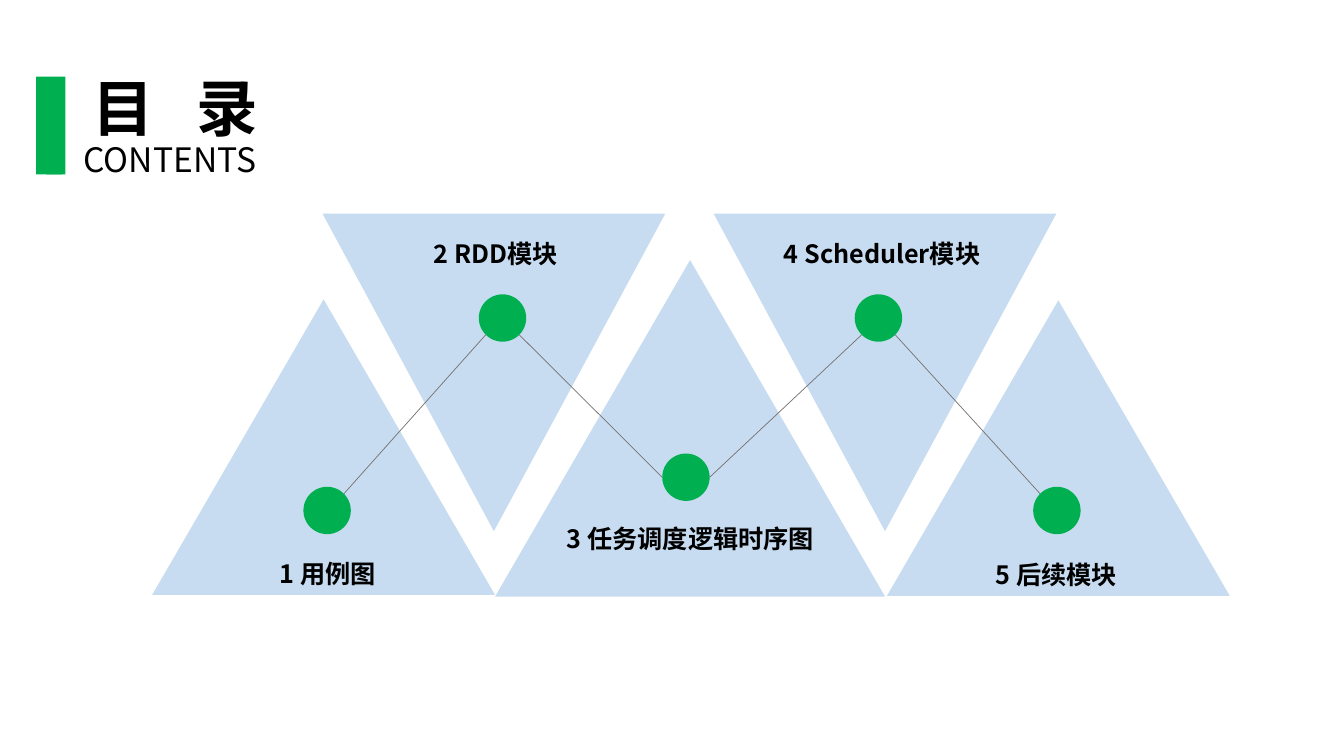
import pptx
import pptx.util
import pptx.dml.color
import pptx.enum.shapes
import pptx.enum.text
import pptx.oxml.ns
import lxml.etree

GREEN = pptx.dml.color.RGBColor(0x00, 0xB0, 0x50)
BLUE = pptx.dml.color.RGBColor(0x5B, 0x9B, 0xD5)
GREY = pptx.dml.color.RGBColor(0x76, 0x71, 0x71)
BLACK = pptx.dml.color.RGBColor(0x00, 0x00, 0x00)
FONT = "Noto Sans CJK SC"
MSO = pptx.enum.shapes.MSO_SHAPE
ALIGN = pptx.enum.text.PP_ALIGN
qn = pptx.oxml.ns.qn

prs = pptx.Presentation()
prs.slide_width = pptx.util.Inches(13.333)
prs.slide_height = pptx.util.Inches(7.5)
COL, ROW = prs.slide_width / 100, prs.slide_height / 100  # 100 x 100 grid
s = prs.slides.add_slide(prs.slide_layouts[6])


def add_filled(kind, x, y, w, h, color):
    sp = s.shapes.add_shape(kind, int(x * COL), int(y * ROW), int(w * COL), int(h * ROW))
    sp.shadow.inherit = False
    sp.fill.solid()
    sp.fill.fore_color.rgb = color
    sp.line.fill.background()
    return sp


def add_text(x, y, w, h, runs, align, size, bold):
    tb = s.shapes.add_textbox(int(x * COL), int(y * ROW), int(w * COL), int(h * ROW))
    tf = tb.text_frame
    tf.word_wrap = True
    p = tf.paragraphs[0]
    p.alignment = align
    for text, spacing in runs:
        r = p.add_run()
        r.text = text
        for name, value in {"name": FONT, "size": pptx.util.Pt(size), "bold": bold}.items():
            setattr(r.font, name, value)
        r.font.color.rgb = BLACK
        rpr = r.font._element
        lxml.etree.SubElement(rpr, qn("a:ea")).set("typeface", FONT)
        if spacing:
            rpr.set("spc", str(spacing * 100))


# Translucent triangles: left, top, width, height, pointing down
triangles = [
    (53.1, 28.27, 25.5, 42, True),
    (24, 28.27, 25.5, 42, True),
    (36.83, 34.4, 29.03, 44.53, False),
    (66, 39.73, 25.5, 39.07, False),
    (11.33, 39.6, 25.5, 39.07, False),
]
for x, y, w, h, down in triangles:
    sp = add_filled(MSO.ISOSCELES_TRIANGLE, x, y, w, h, BLUE)
    color = sp.fill._xPr.find(qn("a:solidFill"))[0]
    lxml.etree.SubElement(color, qn("a:alpha")).set("val", "34000")
    if down:
        sp._element.spPr.find(qn("a:xfrm")).set("flipV", "1")

# Green bar with its bracket
for bar in [(2.7, 10.13, 2.18, 12.93), (4.28, 10.27, 0.38, 12.13),
            (3.45, 10.27, 1.2, 0.67), (3.45, 22.4, 1.2, 0.67)]:
    add_filled(MSO.RECTANGLE, *bar, GREEN)

# Heading; the gap between its characters is widened by letter spacing
add_text(4.88, 8.53, 16.28, 11.2, [("目", 0), (" ", 20), ("录", 0)], ALIGN.CENTER, 44, True)
add_text(5.48, 17.73, 14.85, 6.67, [("CONTENTS", 0)], ALIGN.LEFT, 24, False)

# Lines from dot edge to dot edge; offsets are in dot radii
DOT_W, DOT_H, DIAG = 3.53, 6.27, 0.71
dots = [(24.34, 67.53), (37.39, 42.07), (51.04, 63.13), (65.36, 42.07), (78.64, 67.53)]
offsets = [
    ((DIAG, -DIAG), (-DIAG, DIAG)),
    ((DIAG, DIAG), (-1, 0)),
    ((1, 0), (-DIAG, DIAG)),
    ((DIAG, DIAG), (-DIAG, -DIAG)),
]
for start, end, shifts in zip(dots, dots[1:], offsets):
    ends = []
    for (x, y), (dx, dy) in zip((start, end), shifts):
        ends += [int((x + dx * DOT_W / 2) * COL), int((y + dy * DOT_H / 2) * ROW)]
    c = s.shapes.add_connector(pptx.enum.shapes.MSO_CONNECTOR.STRAIGHT, *ends)
    c.line.color.rgb = GREY
    c.line.width = pptx.util.Pt(0.5)
    lxml.etree.SubElement(c._element.spPr, qn("a:effectLst"))

# Dots
for x, y in dots:
    add_filled(MSO.OVAL, x - DOT_W / 2, y - DOT_H / 2, DOT_W, DOT_H, GREEN)

# Chapter labels
labels = [
    (13.13, 73.2, 5.33, "1 用例图"),
    (25.65, 30.93, 5.33, "2 RDD模块"),
    (40.13, 68.53, 9.47, "3 任务调度逻辑时序图"),
    (54.38, 30.93, 5.33, "4 Scheduler模块"),
    (67.35, 73.33, 5.33, "5 后续模块"),
]
for x, y, h, text in labels:
    add_text(x, y, 22.5, h, [(text, 0)], ALIGN.CENTER, 18, True)

prs.save("out.pptx")
